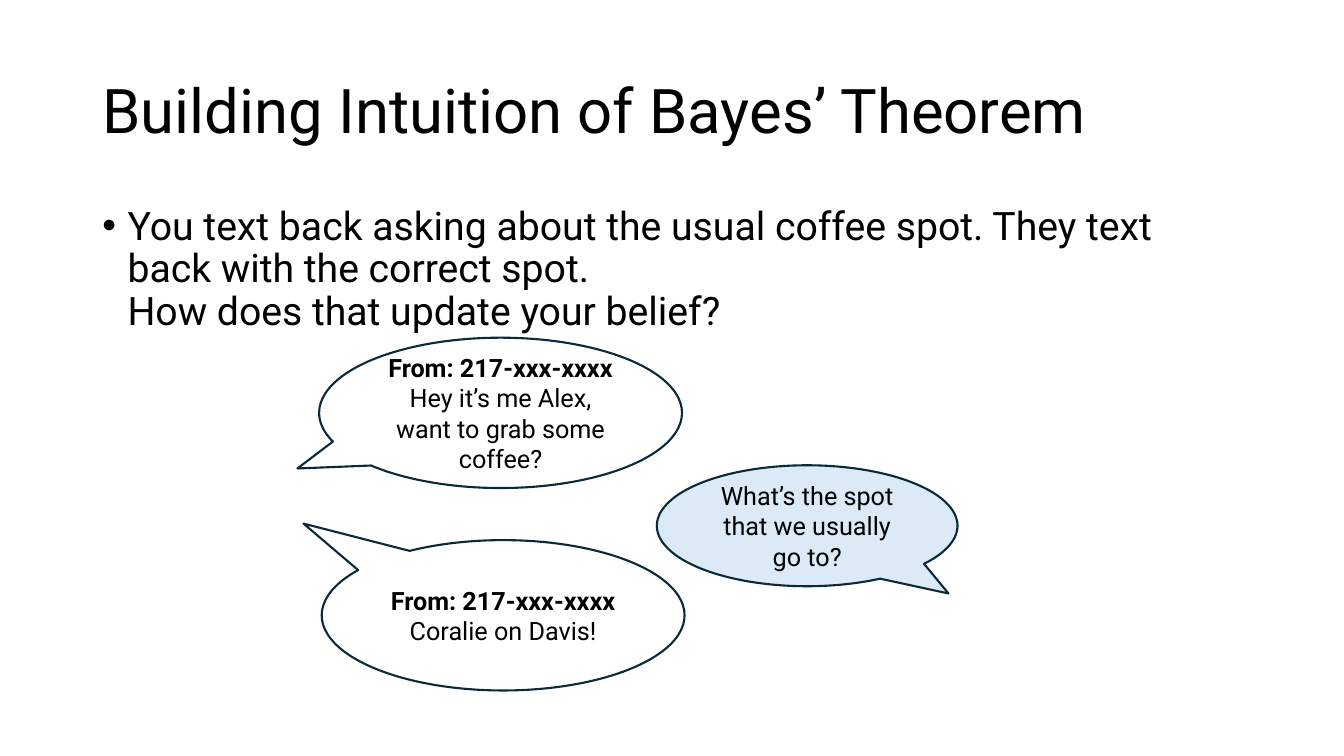
from lxml.etree import SubElement
from pptx import Presentation
from pptx.dml.color import RGBColor
from pptx.enum.shapes import MSO_SHAPE as Preset
from pptx.enum.text import MSO_ANCHOR as Anchor, MSO_AUTO_SIZE as AutoSize, PP_ALIGN as Align
from pptx.oxml.ns import qn
from pptx.util import Inches, Pt

COLUMNS, ROWS = 160, 90
SENDER = "From: 217-xxx-xxxx"


def color(value):
    return RGBColor.from_string(value)


def apply(target, values):
    for name, value in values.items():
        setattr(target, name, value)


class SlideBuilder:
    font_name = "Roboto"
    ink = "000000"
    outline = "092A39"

    def __init__(self, presentation):
        self.cell_width = presentation.slide_width / COLUMNS
        self.cell_height = presentation.slide_height / ROWS
        self.slide = presentation.slides.add_slide(presentation.slide_layouts[5])

    def box(self, column, row, columns, rows):
        return (int(column * self.cell_width), int(row * self.cell_height),
                int(columns * self.cell_width), int(rows * self.cell_height))

    def format(self, paragraph, size, bold=False, **layout):
        apply(paragraph, layout)
        apply(paragraph.font, {"name": self.font_name, "size": Pt(size), "bold": bold})
        paragraph.font.color.rgb = color(self.ink)

    def title(self, text, place):
        shape = self.slide.shapes.title
        apply(shape, dict(zip(("left", "top", "width", "height"), self.box(*place))))
        frame = shape.text_frame
        apply(frame, {"text": text, "vertical_anchor": Anchor.MIDDLE,
                      "word_wrap": True, "auto_size": AutoSize.NONE})
        self.format(frame.paragraphs[0], 44, alignment=Align.LEFT, line_spacing=0.9)

    def bullet(self, lines, place):
        frame = self.slide.shapes.add_textbox(*self.box(*place)).text_frame
        frame.word_wrap = True
        paragraph = frame.paragraphs[0]
        paragraph.text = "\v".join(lines)
        paragraph.line_spacing = 0.9
        properties = paragraph._p.get_or_add_pPr()
        properties.set("marL", str(Inches(0.25)))
        properties.set("indent", str(-Inches(0.25)))
        SubElement(properties, qn("a:buFont"), typeface="Arial")
        SubElement(properties, qn("a:buChar"), char="•")
        self.format(paragraph, 28)

    def bubble(self, message, place, tail, sender=None, fill=None):
        shape = self.slide.shapes.add_shape(Preset.OVAL_CALLOUT, *self.box(*place))
        shape.shadow.inherit = False
        for index, offset in enumerate(tail):
            shape.adjustments[index] = offset
        if fill:
            shape.fill.solid()
            shape.fill.fore_color.rgb = color(fill)
        else:
            shape.fill.background()
        shape.line.color.rgb = color(self.outline)
        shape.line.width = Pt(1.5)
        frame = shape.text_frame
        apply(frame, {"word_wrap": True, "vertical_anchor": Anchor.MIDDLE})
        lines = [line for line in (sender, message) if line]
        frame.text = "\n".join(lines)
        for line, paragraph in zip(lines, frame.paragraphs):
            self.format(paragraph, 18, bold=line == sender, alignment=Align.CENTER)


def main():
    presentation = Presentation()
    apply(presentation, {"slide_width": Inches(13.33), "slide_height": Inches(7.5)})
    builder = SlideBuilder(presentation)
    builder.title("Building Intuition of Bayes’ Theorem", (11, 4.8, 138, 17.4))
    builder.bullet(["You text back asking about the usual coffee spot. They text back with the correct spot.",
                    "How does that update your belief?"], (11, 24, 138, 57.1))
    builder.bubble("Hey it’s me Alex, want to grab some coffee?",
                   (38, 40.2, 43.2, 17.9), (-0.56, 0.37), sender=SENDER)
    builder.bubble("What’s the spot that we usually go to?",
                   (78.2, 55.4, 35.8, 14.4), (0.47, 0.56), fill="DCEAF7")
    builder.bubble("Coralie on Davis!",
                   (38.3, 64.3, 43.2, 17.9), (-0.55, -0.61), sender=SENDER)
    presentation.save("out.pptx")


if __name__ == "__main__":
    main()
